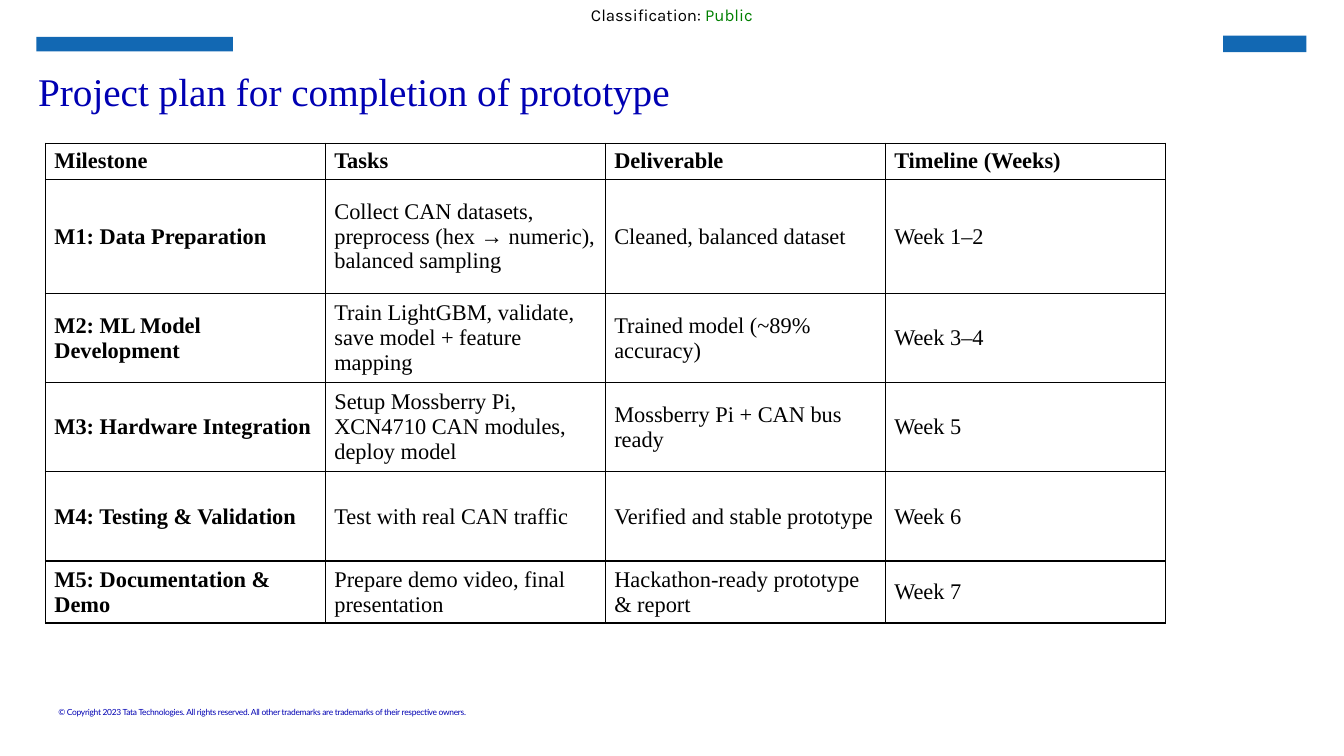
import lxml.etree
import pptx
import pptx.dml.color
import pptx.enum.shapes
import pptx.enum.text
import pptx.oxml.ns
import pptx.util

WIDTH, HEIGHT = pptx.util.Inches(13.33), pptx.util.Inches(7.5)
COLORS = {"black": "000000", "white": "FFFFFF", "navy": "0000B3",
          "green": "008000", "brand": "1268B3"}
SERIF = "Times New Roman"
COLUMN_SHARE = 20.83
ROW_SHARES = [4.8, 15.1, 11.8, 11.8, 11.8, 8.2]
PLAN = [
    ("Milestone", "Tasks", "Deliverable", "Timeline (Weeks)"),
    ("M1: Data Preparation",
     "Collect CAN datasets, preprocess (hex → numeric), balanced sampling",
     "Cleaned, balanced dataset", "Week 1–2"),
    ("M2: ML Model Development",
     "Train LightGBM, validate, save model + feature mapping",
     "Trained model (~89% accuracy)", "Week 3–4"),
    ("M3: Hardware Integration",
     "Setup Mossberry Pi, XCN4710 CAN modules, deploy model",
     "Mossberry Pi + CAN bus ready", "Week 5"),
    ("M4: Testing & Validation", "Test with real CAN traffic",
     "Verified and stable prototype", "Week 6"),
    ("M5: Documentation & Demo", "Prepare demo video, final presentation",
     "Hackathon-ready prototype & report", "Week 7"),
]


def across(share):
    return round(WIDTH * share / 100)


def down(share):
    return round(HEIGHT * share / 100)


def area(x, y, w, h):
    return across(x), down(y), across(w), down(h)


def rgb(name):
    return pptx.dml.color.RGBColor.from_string(COLORS[name])


def set_font(font, name, size, color, bold=False):
    font.name = name
    font.size = pptx.util.Pt(size)
    font.color.rgb = rgb(color)
    font.bold = bold


def add_text(s, box, text, name, size, color):
    tf = s.shapes.add_textbox(*area(*box)).text_frame
    tf.word_wrap = True
    p = tf.paragraphs[0]
    r = p.add_run()
    r.text = text
    set_font(p.font, name, size, color)
    return r


def add_block(s, box, color):
    sp = s.shapes.add_shape(pptx.enum.shapes.MSO_SHAPE.RECTANGLE, *area(*box))
    sp.shadow.inherit = False
    sp.fill.solid()
    sp.fill.fore_color.rgb = rgb(color)
    sp.line.fill.background()
    return sp


def add_classification(s):
    tf = add_block(s, (0, 0, 100, 4), "white").text_frame
    p = tf.paragraphs[0]
    p.alignment = pptx.enum.text.PP_ALIGN.CENTER
    for text, color in (("Classification: ", "black"), ("Public", "green")):
        r = p.add_run()
        r.text = text
        set_font(r.font, "Karla", 12, color)


def add_borders(cell):
    tc_pr = cell._tc.get_or_add_tcPr()
    for i, side in enumerate(("lnL", "lnR", "lnT", "lnB")):
        ln = lxml.etree.Element(pptx.oxml.ns.qn("a:" + side), w=str(pptx.util.Pt(1)))
        fill = lxml.etree.SubElement(ln, pptx.oxml.ns.qn("a:solidFill"))
        lxml.etree.SubElement(fill, pptx.oxml.ns.qn("a:srgbClr"), val=COLORS["black"])
        tc_pr.insert(i, ln)


def fill_cell(cell, text, bold):
    cell.text = text
    cell.vertical_anchor = pptx.enum.text.MSO_ANCHOR.MIDDLE
    cell.margin_left = cell.margin_right = pptx.util.Inches(0.09)
    cell.margin_top = cell.margin_bottom = pptx.util.Inches(0.04)
    cell.fill.background()
    set_font(cell.text_frame.paragraphs[0].font, SERIF, 16, "black", bold)
    add_borders(cell)


def add_plan(s, x, y):
    box = area(x, y, COLUMN_SHARE * len(PLAN[0]), sum(ROW_SHARES))
    table = s.shapes.add_table(len(PLAN), len(PLAN[0]), *box).table
    table.first_row = table.horz_banding = False
    for column in table.columns:
        column.width = across(COLUMN_SHARE)
    for i, (share, texts) in enumerate(zip(ROW_SHARES, PLAN)):
        table.rows[i].height = down(share)
        for j, text in enumerate(texts):
            fill_cell(table.cell(i, j), text, bold=i == 0 or j == 0)


def main():
    prs = pptx.Presentation()
    prs.slide_width, prs.slide_height = WIDTH, HEIGHT
    s = prs.slides.add_slide(prs.slide_layouts[6])
    add_block(s, (2.7, 4.9, 14.63, 1.9), "brand")
    add_block(s, (91, 4.7, 6.2, 2.2), "brand")
    r = add_text(s, (3.6, 92.93, 50, 2.67),
                 "© Copyright 2023 Tata Technologies. All rights reserved. "
                 "All other trademarks are trademarks of their respective owners.",
                 "Lato", 6, "navy")
    r.font._element.set("spc", "-20")
    add_classification(s)
    add_text(s, (2.1, 8.27, 95.12, 7.6),
             "Project plan for completion of prototype", SERIF, 28, "navy")
    add_plan(s, 3.38, 18.93)
    prs.save("out.pptx")


if __name__ == "__main__":
    main()
